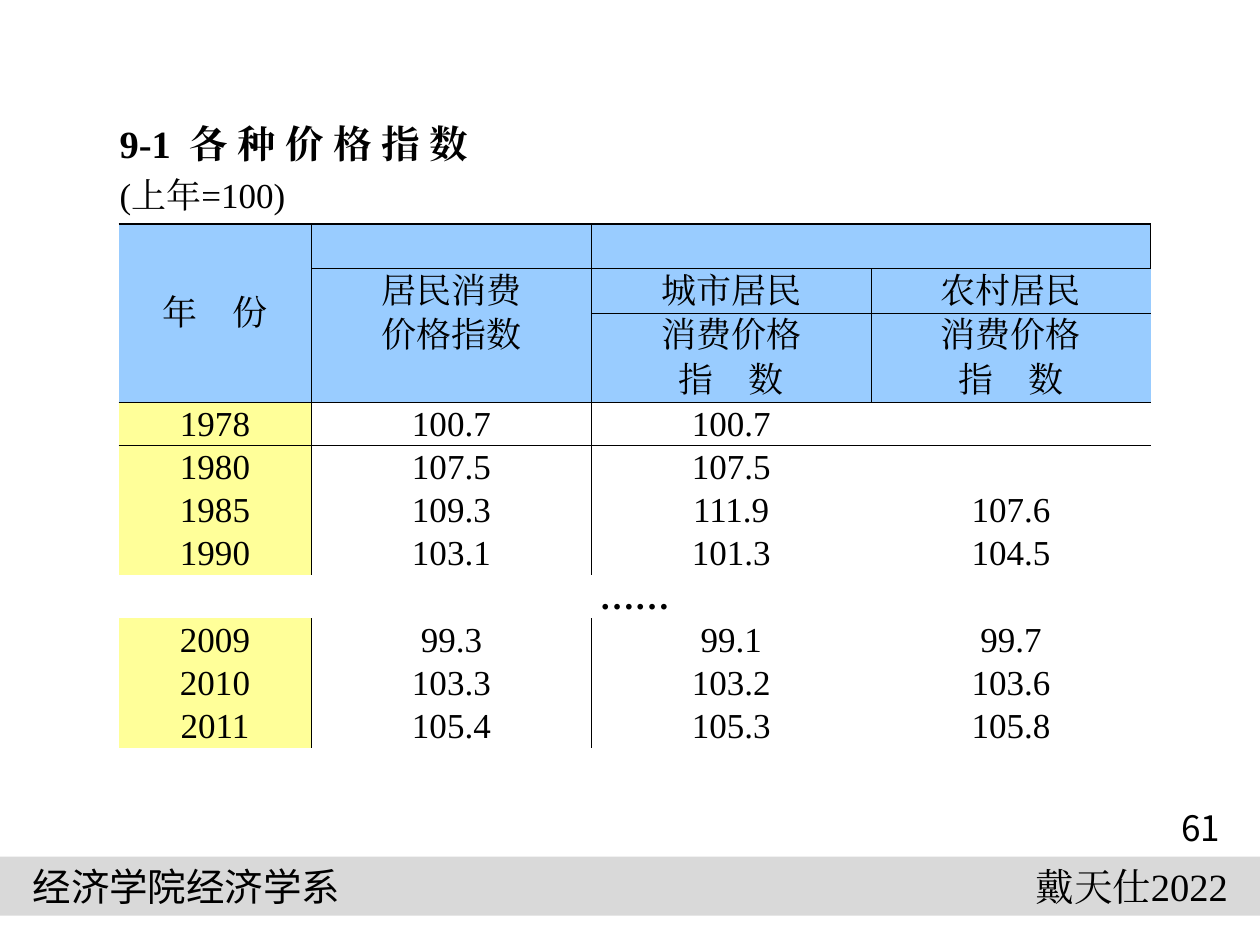
import pptx
import pptx.dml.color
import pptx.enum.shapes
import pptx.enum.text
import pptx.oxml
import pptx.oxml.ns
import pptx.util
from pptx.util import Cm

ALIGN = pptx.enum.text.PP_ALIGN
MIDDLE = pptx.enum.text.MSO_ANCHOR.MIDDLE
SERIF, SANS = "Times New Roman", "Noto Sans CJK SC"
PLAIN_TABLE = "{2D5ABB26-0587-4C30-8999-92F81FD0307C}"
SIDES = ("L", "R", "T", "B")


def colour(code):
    return pptx.dml.color.RGBColor.from_string(code)


class Sheet:
    """The current slide and its style."""
    ink, paper, band, head, year = "000000", "FFFFFF", "D9D9D9", "99CCFF", "FFFF99"

    def __init__(self, slide):
        self.slide = slide

    def add_text(self, frame, text, size, font=SERIF, align=ALIGN.LEFT, bold=False):
        para = frame.paragraphs[0]
        para.alignment = align
        span = para.add_run()
        span.text = text
        span.font.size = pptx.util.Pt(size)
        span.font.bold = bold
        span.font.name = font
        span.font.color.rgb = colour(self.ink)
        east = pptx.oxml.parse_xml(
            f'<a:ea {pptx.oxml.ns.nsdecls("a")} typeface="{font}"/>')
        span.font._element.append(east)

    def bar(self, left, top, width, height):
        bar = self.slide.shapes.add_shape(
            pptx.enum.shapes.MSO_SHAPE.RECTANGLE, Cm(left), Cm(top), Cm(width), Cm(height))
        bar.shadow.inherit = False
        bar.fill.solid()
        bar.fill.fore_color.rgb = colour(self.band)
        bar.line.fill.background()

    def label(self, left, top, width, height, text, size, font, align):
        box = self.slide.shapes.add_textbox(Cm(left), Cm(top), Cm(width), Cm(height))
        box.text_frame.word_wrap = True
        box.text_frame.vertical_anchor = MIDDLE
        self.add_text(box.text_frame, text, size, font, align)

    def table(self, left, top, widths, heights):
        frame = self.slide.shapes.add_table(
            len(heights), len(widths), Cm(left), Cm(top), Cm(sum(widths)), Cm(sum(heights)))
        table = frame.table
        table.first_row = table.horz_banding = False
        table._tbl.tblPr.find(pptx.oxml.ns.qn("a:tableStyleId")).text = PLAIN_TABLE
        for column, width in zip(table.columns, widths):
            column.width = Cm(width)
        for row, height in zip(table.rows, heights):
            row.height = Cm(height)
        return table

    def cell(self, cell, text, fill, edges, size=20, align=ALIGN.CENTER, bold=False):
        cell.margin_left = cell.margin_right = cell.margin_top = Cm(0.02)
        cell.margin_bottom = 0
        cell.vertical_anchor = MIDDLE
        properties = cell._tc.get_or_add_tcPr()
        for side in SIDES:
            if side in edges:
                properties.append(pptx.oxml.parse_xml(
                    f'<a:ln{side} {pptx.oxml.ns.nsdecls("a")} w="{pptx.util.Pt(edges[side])}">'
                    f'<a:solidFill><a:srgbClr val="{self.ink}"/></a:solidFill></a:ln{side}>'))
        cell.fill.solid()
        cell.fill.fore_color.rgb = colour(fill)
        if text:
            self.add_text(cell.text_frame, text, size, SERIF, align, bold)


TITLE_ROWS, HEAD_ROWS, GAP_ROW = range(2), range(2, 6), 10
ROWS = [
    ["9-1  各 种 价 格 指 数", "", "", ""],
    ["(上年=100)", "", "", ""],
    ["年　份", "", "", ""],
    ["", "居民消费", "城市居民", "农村居民"],
    ["", "价格指数", "消费价格", "消费价格"],
    ["", "", "指　数", "指　数"],
    ["1978", "100.7", "100.7", ""],
    ["1980", "107.5", "107.5", ""],
    ["1985", "109.3", "111.9", "107.6"],
    ["1990", "103.1", "101.3", "104.5"],
    ["……", "", "", ""],
    ["2009", "99.3", "99.1", "99.7"],
    ["2010", "103.3", "103.2", "103.6"],
    ["2011", "105.4", "105.3", "105.8"],
]
MERGES = [(0, 0, 0, 3), (1, 0, 1, 3), (2, 0, 5, 0), (2, 2, 2, 3), (10, 0, 10, 3)]


def cell_edges(row, col):
    """Border widths in points, by side."""
    edges = {}
    lines_below = {1: 1, 5: 0.5}
    if col >= 2:
        lines_below[2] = 0.5
    if row in lines_below:
        edges["B"] = lines_below[row]
    if row - 1 in lines_below:
        edges["T"] = lines_below[row - 1]

    def line_right_of(column):
        if column == 0:
            return row >= 2 and row != GAP_ROW
        if column == 3:
            return row == 2
        return column > 0 and row in HEAD_ROWS[1:]

    if line_right_of(col):
        edges["R"] = 0.5
    if line_right_of(col - 1):
        edges["L"] = 0.5
    # The merged heading cell carries its right border from its first cell
    if (row, col) == (2, 2):
        edges["R"] = 0.5
    return edges


def cell_fill(row, col):
    if row in HEAD_ROWS:
        return Sheet.head
    if col == 0 and row > HEAD_ROWS[-1] and row != GAP_ROW:
        return Sheet.year
    return Sheet.paper


def main():
    deck = pptx.Presentation()
    deck.slide_width, deck.slide_height = Cm(25.4), Cm(19.05)
    page = Sheet(deck.slides.add_slide(deck.slide_layouts[6]))

    # Footer band
    page.bar(0, 17.27, 25.4, 1.19)
    page.label(0.41, 17.27, 7.75, 1.19, "经济学院经济学系", 22, SANS, ALIGN.LEFT)
    page.label(18.85, 17.27, 6.15, 1.19, "戴天仕2022", 22, SERIF, ALIGN.RIGHT)

    # Price index table
    heights = [0.94, 1.12] + [0.9] * 4 + [0.87] * 8
    table = page.table(2.39, 2.44, [3.89] + [5.64] * 3, heights)
    for top, left, bottom, right in MERGES:
        table.cell(top, left).merge(table.cell(bottom, right))
    for row, texts in enumerate(ROWS):
        for col, text in enumerate(texts):
            page.cell(table.cell(row, col), text, cell_fill(row, col), cell_edges(row, col),
                      size=22 if row == 0 else 20,
                      align=ALIGN.LEFT if row in TITLE_ROWS else ALIGN.CENTER,
                      bold=row in (0, GAP_ROW))

    # Page number
    page.label(23.01, 16.08, 2.39, 1.19, "61", 20, SANS, ALIGN.CENTER)
    deck.save("out.pptx")


if __name__ == "__main__":
    main()
